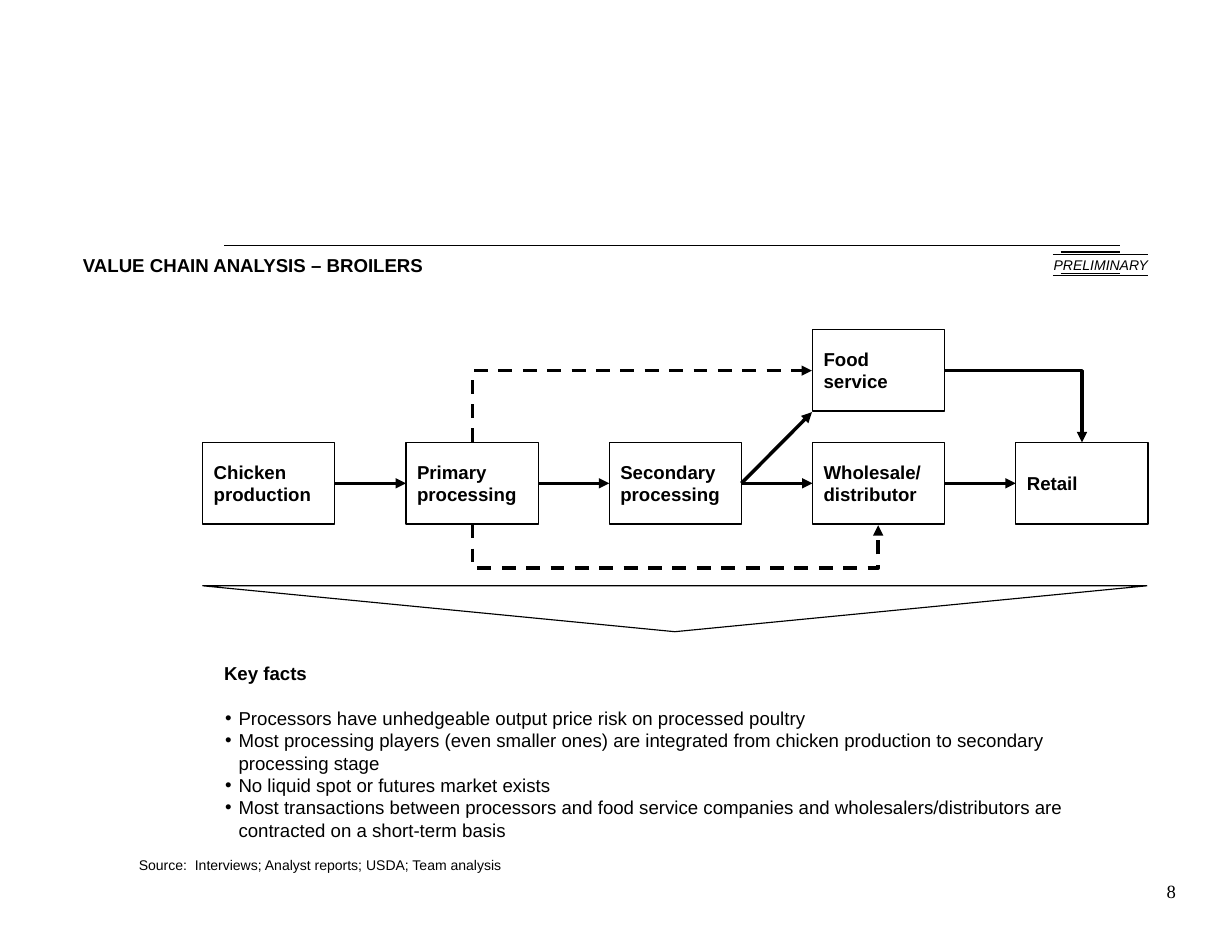
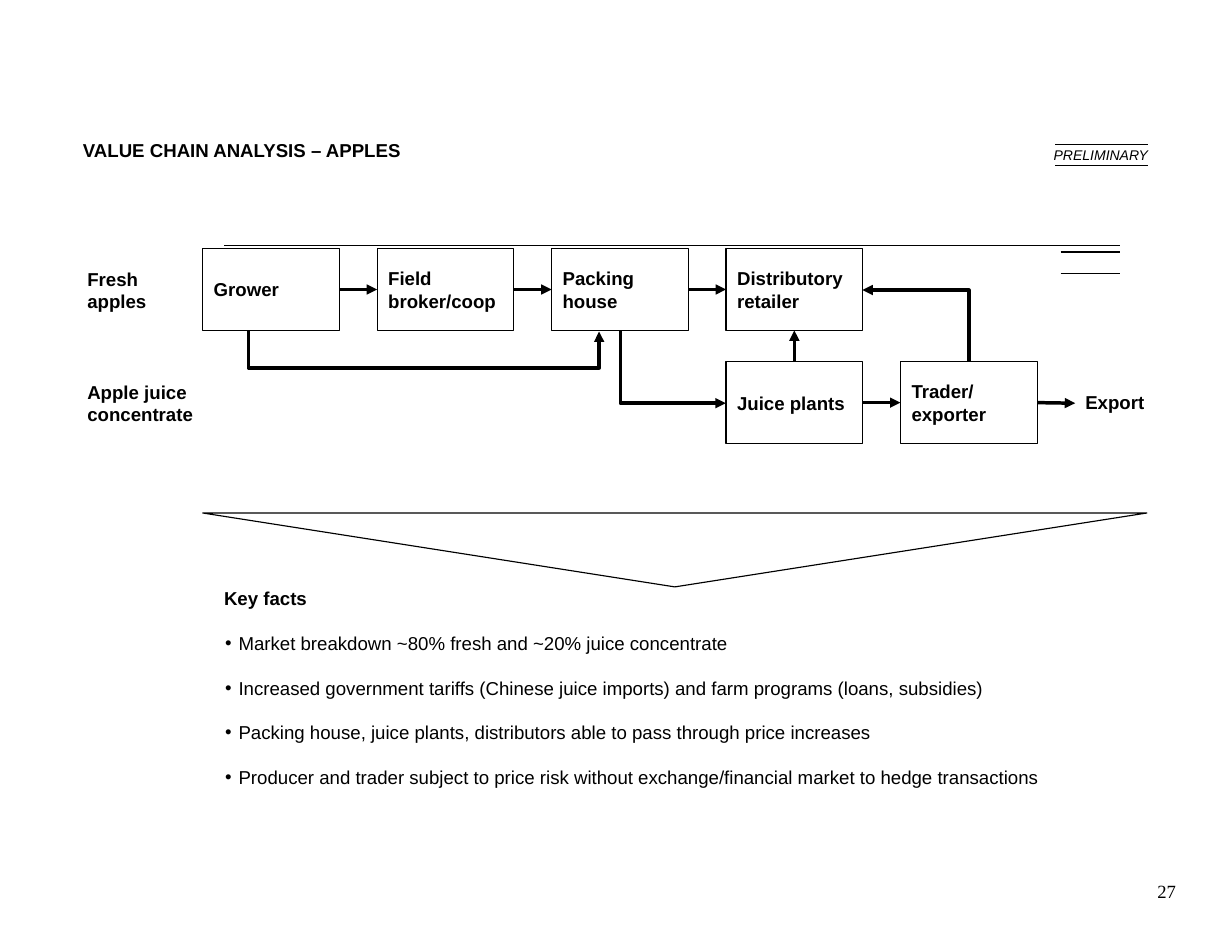
from dataclasses import dataclass

from lxml import etree
from pptx import Presentation
from pptx.dml.color import RGBColor
from pptx.enum.dml import MSO_LINE
from pptx.enum.shapes import MSO_CONNECTOR, MSO_SHAPE
from pptx.enum.text import MSO_ANCHOR, MSO_AUTO_SIZE, PP_ALIGN
from pptx.oxml.ns import qn
from pptx.util import Inches, Pt

RECTANGLE = MSO_SHAPE.RECTANGLE
TRIANGLE = MSO_SHAPE.ISOSCELES_TRIANGLE
STRAIGHT = MSO_CONNECTOR.STRAIGHT
ELBOW = MSO_CONNECTOR.ELBOW
DASH = MSO_LINE.DASH
LEFT, RIGHT = PP_ALIGN.LEFT, PP_ALIGN.RIGHT
TOP, MIDDLE, BOTTOM = MSO_ANCHOR.TOP, MSO_ANCHOR.MIDDLE, MSO_ANCHOR.BOTTOM
SIDE_TOP, SIDE_LEFT, SIDE_BOTTOM, SIDE_RIGHT = range(4)

BLACK, WHITE = "000000", "FFFFFF"
SANS, SERIF = "Arial", "Times New Roman"
THIN, THICK = 0.75, 2.25
BOX_HEIGHT = 0.73
CHAIN_LEFT, CHAIN_WIDTH = 1.81, 8.43
BLANK_LINE = 14.4
LAYOUT_TITLE_AND_BODY = 1


@dataclass
class Stage:
    """A box of the value chain, placed by grid column."""
    label: str
    column: int
    top: float


@dataclass
class Arrow:
    """A straight arrow from a stage side to a stage side or a free point."""
    source: str
    target: str | tuple[float, float]
    source_side: int = SIDE_RIGHT
    target_side: int = SIDE_LEFT


@dataclass
class Bend:
    """A bent arrow; a depth makes it a U-shaped detour."""
    begin: tuple[float, float]
    end: tuple[float, float]
    rotation: int = 0
    flip: str = ""
    depth: float = 0
    dashed: bool = False


@dataclass
class Label:
    """A bold label beside the chain."""
    text: str
    left: float
    top: float
    width: float
    height: float
    wrap: bool = True


@dataclass
class ChainSlide:
    """Everything that differs between two value chain slides."""
    title: str
    title_top: float
    stamp_top: float
    stamp_left: float
    box_width: float
    last_left: float
    stages: list[Stage]
    arrows: list[Arrow]
    bends: list[Bend]
    labels: list[Label]
    funnel: tuple[float, float]
    facts_top: float
    facts_height: float
    facts: list[str]
    spaced: bool
    source: str
    number: str


BROILERS = ChainSlide(
    title="VALUE CHAIN ANALYSIS – BROILERS", title_top=2.27,
    stamp_top=2.27, stamp_left=9.4, box_width=1.18, last_left=9.07,
    stages=[
        Stage("Chicken production", 0, 3.95),
        Stage("Primary processing", 1, 3.95),
        Stage("Secondary processing", 2, 3.95),
        Stage("Wholesale/ distributor", 3, 3.95),
        Stage("Retail", 4, 3.95),
        Stage("Food service", 3, 2.94),
    ],
    arrows=[
        Arrow("Chicken production", "Primary processing"),
        Arrow("Primary processing", "Secondary processing"),
        Arrow("Secondary processing", "Wholesale/ distributor"),
        Arrow("Wholesale/ distributor", "Retail"),
        Arrow("Secondary processing", (7.25, 3.68)),
    ],
    bends=[
        Bend((4.22, 4.68), (7.84, 4.69), 270, "H", depth=0.4, dashed=True),
        Bend((4.22, 3.95), (7.25, 3.31), 90, "HV", dashed=True),
        Bend((8.44, 3.31), (9.66, 3.95)),
    ],
    labels=[], funnel=(5.23, 0.41), facts_top=5.91, facts_height=1.6,
    facts=[
        "Processors have unhedgeable output price risk on processed poultry",
        "Most processing players (even smaller ones) are integrated from "
        "chicken production to secondary processing stage",
        "No liquid spot or futures market exists",
        "Most transactions between processors and food service companies and "
        "wholesalers/distributors are contracted on a short-term basis",
    ],
    spaced=False, source="Source:\tInterviews; Analyst reports; USDA; Team analysis", number="8",
)

APPLES = ChainSlide(
    title="VALUE CHAIN ANALYSIS – APPLES", title_top=1.24,
    stamp_top=1.29, stamp_left=9.42, box_width=1.22, last_left=8.04,
    stages=[
        Stage("Grower", 0, 2.22),
        Stage("Field broker/coop", 1, 2.22),
        Stage("Packing house", 2, 2.22),
        Stage("Distributory retailer", 3, 2.22),
        Stage("Juice plants", 3, 3.23),
        Stage("Trader/\nexporter", 4, 3.23),
    ],
    arrows=[
        Arrow("Grower", "Field broker/coop"),
        Arrow("Field broker/coop", "Packing house"),
        Arrow("Packing house", "Distributory retailer"),
        Arrow("Juice plants", "Trader/\nexporter"),
        Arrow("Juice plants", "Distributory retailer", SIDE_TOP, SIDE_BOTTOM),
        Arrow("Trader/\nexporter", (9.6, 3.6)),
    ],
    bends=[
        Bend((5.54, 2.95), (6.48, 3.6), 270, "H"),
        Bend((8.65, 3.23), (7.7, 2.59), 270, "V"),
        Bend((2.22, 2.95), (5.35, 2.96), 270, "H", depth=0.34),
    ],
    labels=[
        Label("Fresh apples", 0.78, 2.39, 0.81, 0.4),
        Label("Apple juice concentrate", 0.78, 3.4, 1.03, 0.4),
        Label("Export", 9.69, 3.49, 0.53, 0.2, wrap=False),
    ],
    funnel=(4.58, 0.66), facts_top=5.24, facts_height=1.8,
    facts=[
        "Market breakdown ~80% fresh and ~20% juice concentrate",
        "Increased government tariffs (Chinese juice imports) and farm programs (loans, subsidies)",
        "Packing house, juice plants, distributors able to pass through price increases",
        "Producer and trader subject to price risk without exchange/financial "
        "market to hedge transactions",
    ],
    spaced=True, source="", number="27",
)


def color(value: str) -> RGBColor:
    """Turn a hex string into a colour."""
    return RGBColor.from_string(value)


def place(shape, left: float, top: float, width: float, height: float) -> None:
    """Move and size a shape in inches."""
    shape.left, shape.top = Inches(left), Inches(top)
    shape.width, shape.height = Inches(width), Inches(height)


def write(shape, text: str, *, size: float = 12, bold: bool = False, italic: bool = False,
          font: str = SANS, align=LEFT, anchor=TOP, inset: float = 0, wrap: bool = True):
    """Fill a shape with text, one paragraph a line, and return the paragraphs."""
    frame = shape.text_frame
    frame.text = text
    frame.auto_size = MSO_AUTO_SIZE.NONE
    frame.word_wrap = wrap
    frame.vertical_anchor = anchor
    frame.margin_left = frame.margin_right = Inches(inset)
    frame.margin_top = frame.margin_bottom = Inches(inset)
    for paragraph in frame.paragraphs:
        paragraph.alignment = align
        paragraph.line_spacing = Pt(size * 1.2)
        paragraph.space_before = Pt(0)
        for run in paragraph.runs:
            run.font.name, run.font.size = font, Pt(size)
            run.font.bold, run.font.italic = bold, italic
            run.font.color.rgb = color(BLACK)
    return frame.paragraphs


def add_text(slide, text: str, left: float, top: float, width: float, height: float, **style):
    """Add a text box and return its paragraphs."""
    return write(slide.shapes.add_textbox(
        Inches(left), Inches(top), Inches(width), Inches(height)), text, **style)


def indent(paragraph, margin: float, first: float):
    """Set the paragraph indents and return its properties."""
    properties = paragraph._p.get_or_add_pPr()
    properties.set("marL", str(Inches(margin)))
    properties.set("indent", str(Inches(first)))
    return properties


def add_outline(slide, kind, left: float, top: float, width: float, height: float):
    """Add a white preset shape with a thin black line."""
    shape = slide.shapes.add_shape(kind, Inches(left), Inches(top), Inches(width), Inches(height))
    shape.shadow.inherit = False
    shape.fill.solid()
    shape.fill.fore_color.rgb = color(WHITE)
    shape.line.color.rgb = color(BLACK)
    shape.line.width = Pt(THIN)
    return shape


def add_line(slide, begin: tuple[float, float], end: tuple[float, float], *,
             kind=STRAIGHT, width: float = THIN, arrow: bool = False, dashed: bool = False):
    """Add a black connector without shadow."""
    points = [Inches(value) for value in (*begin, *end)]
    connector = slide.shapes.add_connector(kind, *points)
    connector.line.color.rgb = color(BLACK)
    connector.line.width = Pt(width)
    if dashed:
        connector.line.dash_style = DASH
    properties = connector.element.spPr
    if arrow:
        etree.SubElement(properties.find(qn("a:ln")), qn("a:tailEnd"), type="triangle")
    etree.SubElement(properties, qn("a:effectLst"))
    return connector


def add_bend(slide, bend: Bend) -> None:
    """Add a bent arrow by turning and flipping a preset connector."""
    (x1, y1), (x2, y2) = bend.begin, bend.end
    width, height = abs(x2 - x1), abs(y2 - y1)
    if bend.rotation:
        width, height = height, width
    left, top = (x1 + x2 - width) / 2, (y1 + y2 - height) / 2
    connector = add_line(slide, (left, top), (left + width, top + height),
                         kind=ELBOW, width=THICK, arrow=True, dashed=bend.dashed)
    properties = connector.element.spPr
    transform = properties.find(qn("a:xfrm"))
    transform.set("rot", str(bend.rotation * 60000))
    for axis in bend.flip:
        transform.set(f"flip{axis}", "1")
    geometry = properties.find(qn("a:prstGeom"))
    if bend.depth:
        adjustment = round(bend.depth / width * 100000)
        etree.SubElement(geometry.find(qn("a:avLst")), qn("a:gd"),
                         name="adj1", fmla=f"val {adjustment}")
    else:
        geometry.set("prst", "bentConnector2")


def add_frame(slide, content: ChainSlide) -> None:
    """Draw the shared rules, title, stamp and page number."""
    add_line(slide, (2, 2.19), (10, 2.19))
    for top in (2.25, 2.44):
        add_line(slide, (9.47, top), (10, top))
    place(slide.shapes.title, 0.74, content.title_top, 9.5, 0.2)
    write(slide.shapes.title, content.title, bold=True)
    for top in (content.stamp_top, content.stamp_top + 0.19):
        add_line(slide, (content.stamp_left, top), (10.25, top))
    add_text(slide, "PRELIMINARY", 9.4, content.stamp_top + 0.02, 0.85, 0.15,
             size=9, italic=True, align=RIGHT, wrap=False)
    add_text(slide, content.number, 10, 7.86, 0.5, 0.2, font=SERIF, align=RIGHT)


def add_chain(slide, content: ChainSlide) -> None:
    """Draw the stages of the chain and the arrows between them."""
    step = (content.last_left - CHAIN_LEFT) / 4
    boxes = {}
    for stage in content.stages:
        box = add_outline(slide, RECTANGLE, CHAIN_LEFT + stage.column * step, stage.top,
                          content.box_width, BOX_HEIGHT)
        write(box, stage.label, bold=True, anchor=MIDDLE, inset=0.1)
        boxes[stage.label] = box
    for arrow in content.arrows:
        free_end = (0, 0) if isinstance(arrow.target, str) else arrow.target
        connector = add_line(slide, (0, 0), free_end, width=THICK, arrow=True)
        connector.begin_connect(boxes[arrow.source], arrow.source_side)
        if isinstance(arrow.target, str):
            connector.end_connect(boxes[arrow.target], arrow.target_side)
    for bend in content.bends:
        add_bend(slide, bend)
    for label in content.labels:
        add_text(slide, label.text, label.left, label.top, label.width, label.height,
                 bold=True, wrap=label.wrap)


def add_facts(slide, content: ChainSlide) -> None:
    """Draw the funnel, the key facts and the source line."""
    top, height = content.funnel
    add_outline(slide, TRIANGLE, CHAIN_LEFT, top, CHAIN_WIDTH, height).rotation = 180
    body = slide.placeholders[1]
    place(body, 2, content.facts_top, 8, content.facts_height)
    heading, *bullets = write(body, "\n".join(["Key facts", *content.facts]))
    heading.runs[0].font.bold = True
    etree.SubElement(indent(heading, 0, 0), qn("a:buNone"))
    for index, paragraph in enumerate(bullets):
        properties = indent(paragraph, 0.13, -0.12)
        etree.SubElement(properties, qn("a:buFont"), typeface=SANS)
        etree.SubElement(properties, qn("a:buChar"), char="•")
        if content.spaced or index == 0:
            paragraph.space_before = Pt(BLANK_LINE)
    if content.source:
        paragraph = add_text(slide, content.source, 0.74, 7.45, 9.5, 0.35, size=9, anchor=BOTTOM)[0]
        tabs = etree.SubElement(indent(paragraph, 0.5, 0), qn("a:tabLst"))
        etree.SubElement(tabs, qn("a:tab"), pos=str(Inches(1)), algn="l")


def main() -> None:
    """Build both value chain slides and save them."""
    presentation = Presentation()
    presentation.slide_width, presentation.slide_height = Inches(11), Inches(8.5)
    for content in (BROILERS, APPLES):
        slide = presentation.slides.add_slide(presentation.slide_layouts[LAYOUT_TITLE_AND_BODY])
        add_frame(slide, content)
        add_chain(slide, content)
        add_facts(slide, content)
    presentation.save("out.pptx")


if __name__ == "__main__":
    main()
